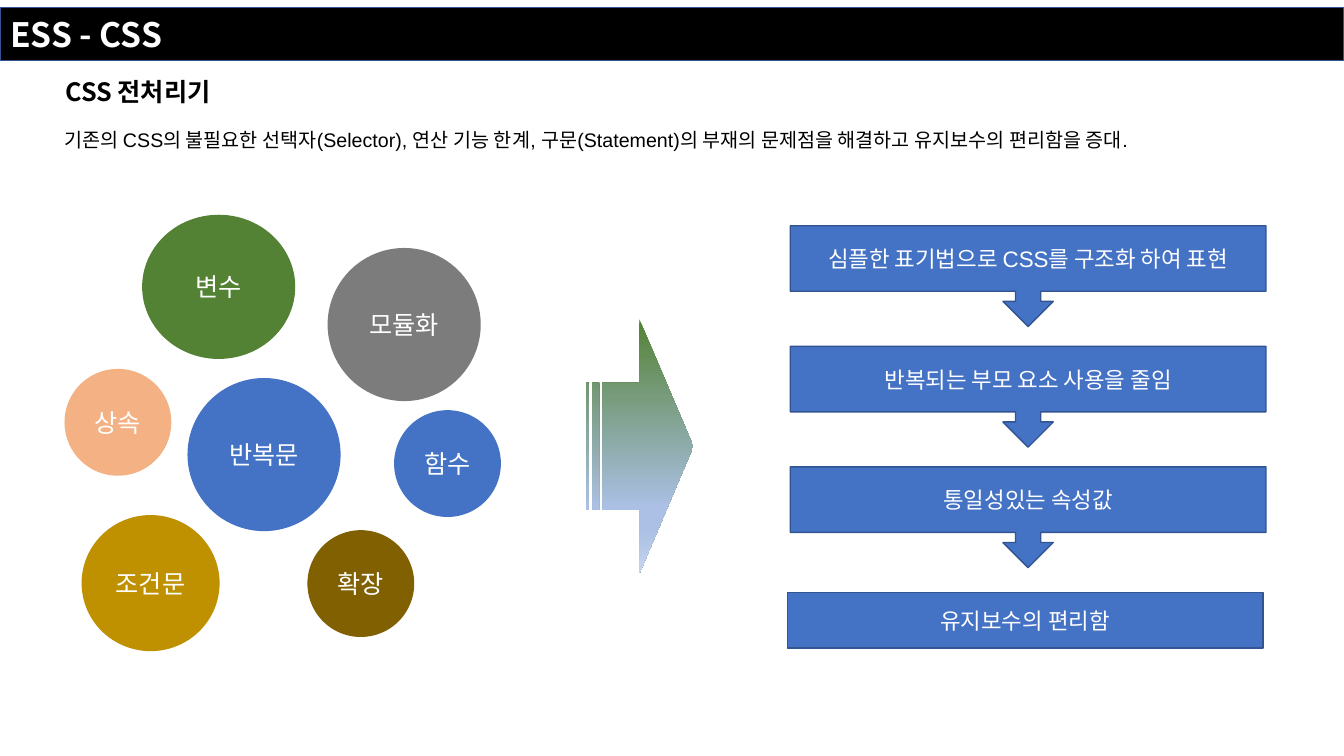
from dataclasses import dataclass

from lxml.etree import SubElement
from pptx import Presentation
from pptx.dml.color import RGBColor
from pptx.enum.shapes import MSO_SHAPE
from pptx.enum.text import MSO_ANCHOR, MSO_AUTO_SIZE, PP_ALIGN
from pptx.oxml.ns import qn
from pptx.util import Pt

TITLE = "ESS - CSS"
HEADING = "CSS 전처리기"
SUMMARY = (
    "기존의 CSS의 불필요한 선택자(Selector), 연산 기능 한계, "
    "구문(Statement)의 부재의 문제점을 해결하고 유지보수의 편리함을 증대."
)
FEATURES = [
    ("변수", (101.5, 153.4, 109.4, 103), "548235"),
    ("조건문", (58.3, 367.9, 98.6, 97.2), "BF9000"),
    ("반복문", (133.9, 270, 109.4, 109.4), "4472C4"),
    ("모듈화", (234, 177.1, 109.4, 109.4), "7C7C7C"),
    ("함수", (281.5, 293, 76.3, 76.3), "4472C4"),
    ("상속", (46.1, 263.5, 76.3, 76.3), "F4B183"),
    ("확장", (219.6, 378.7, 76.3, 76.3), "806000"),
]
BENEFITS = [
    "심플한 표기법으로 CSS를 구조화 하여 표현",
    "반복되는 부모 요소 사용을 줄임",
    "통일성있는 속성값",
]
RESULT = "유지보수의 편리함"


@dataclass(frozen=True)
class Theme:
    """Colours, fonts and type sizes of the slide."""

    black: str = "000000"
    white: str = "FFFFFF"
    blue: str = "4472C4"
    outline: str = "325491"
    arrow_stops: tuple = ((0, "548235"), (74, "ABC0E4"), (83, "ABC0E4"), (100, "C7D5ED"))
    korean: str = "Noto Sans CJK KR"
    latin: str = "Arial"
    title_size: int = 24
    label_size: int = 18
    benefit_size: int = 16
    summary_size: int = 14


THEME = Theme()


def write(shape, text, size, color, font, bold=False, align=PP_ALIGN.CENTER):
    """Set and format the single paragraph of a shape."""
    frame = shape.text_frame
    frame.text = text
    frame.word_wrap = True
    frame.auto_size = MSO_AUTO_SIZE.NONE
    frame.vertical_anchor = MSO_ANCHOR.MIDDLE
    para = frame.paragraphs[0]
    para.alignment = align
    span = para.runs[0]
    span.font.size = Pt(size)
    span.font.bold = bold
    span.font.name = font
    span.font.color.rgb = RGBColor.from_string(color)
    SubElement(span.font._element, qn("a:ea")).set("typeface", THEME.korean)


def paint(shape, fill, outline=None):
    """Give a shape a solid fill and an optional outline."""
    shape.fill.solid()
    shape.fill.fore_color.rgb = RGBColor.from_string(fill)
    if outline:
        shape.line.color.rgb = RGBColor.from_string(outline)
        shape.line.width = Pt(1)
    else:
        shape.line.fill.background()


def add_shape(page, kind, bounds):
    """Add a preset shape without a shadow."""
    shape = page.shapes.add_shape(kind, *map(Pt, bounds))
    shape.shadow.inherit = False
    return shape


def add_title(page):
    """Turn the title placeholder into the bar across the top."""
    title = page.shapes.title
    title.left, title.top, title.width, title.height = map(Pt, (0, 5.4, 960, 37.8))
    paint(title, THEME.black, THEME.outline)
    write(title, TITLE, THEME.title_size, THEME.white, THEME.korean, True, PP_ALIGN.LEFT)


def add_intro(page):
    """Add the heading and the summary sentence."""
    heading = page.shapes.add_textbox(*map(Pt, (39.6, 51.1, 137.5, 29)))
    write(heading, HEADING, THEME.label_size, THEME.black, THEME.korean, True, PP_ALIGN.LEFT)
    summary = page.shapes.add_textbox(*map(Pt, (38.9, 87.8, 844.6, 24.5)))
    write(summary, SUMMARY, THEME.summary_size, THEME.black, THEME.latin, align=PP_ALIGN.LEFT)


def add_features(page):
    """Add the cluster of labelled circles."""
    for label, bounds, color in FEATURES:
        circle = add_shape(page, MSO_SHAPE.OVAL, bounds)
        paint(circle, color)
        write(circle, label, THEME.label_size, THEME.white, THEME.korean)


def add_arrow(page):
    """Add the striped arrow with its vertical gradient."""
    arrow = add_shape(page, MSO_SHAPE.STRIPED_RIGHT_ARROW, (418.3, 228.2, 77, 181.4))
    arrow.line.fill.background()
    arrow.fill.gradient()
    arrow.fill.gradient_angle = 270
    stops = arrow._element.spPr.find(".//" + qn("a:gsLst"))
    for stop in list(stops):
        stops.remove(stop)
    for percent, color in THEME.arrow_stops:
        stop = SubElement(stops, qn("a:gs"))
        stop.set("pos", str(percent * 1000))
        SubElement(stop, qn("a:srgbClr")).set("val", color)


def add_benefits(page):
    """Add the chain of callouts and the closing box."""
    left, top, width, height, pitch = 564.5, 161.3, 339.8, 72, 86.1
    steps = [
        (text, MSO_SHAPE.DOWN_ARROW_CALLOUT, (left, top + index * pitch, width, height))
        for index, text in enumerate(BENEFITS)
    ]
    steps.append((RESULT, MSO_SHAPE.RECTANGLE, (562.3, 423.4, width, 39.6)))
    for text, kind, bounds in steps:
        box = add_shape(page, kind, bounds)
        paint(box, THEME.blue, THEME.outline)
        write(box, text, THEME.benefit_size, THEME.white, THEME.latin)


def main():
    """Build and save the deck."""
    deck = Presentation()
    deck.slide_width, deck.slide_height = Pt(960), Pt(540)
    page = deck.slides.add_slide(deck.slide_layouts.get_by_name("Title Only"))
    add_title(page)
    add_intro(page)
    add_features(page)
    add_arrow(page)
    add_benefits(page)
    deck.save("out.pptx")


if __name__ == "__main__":
    main()
